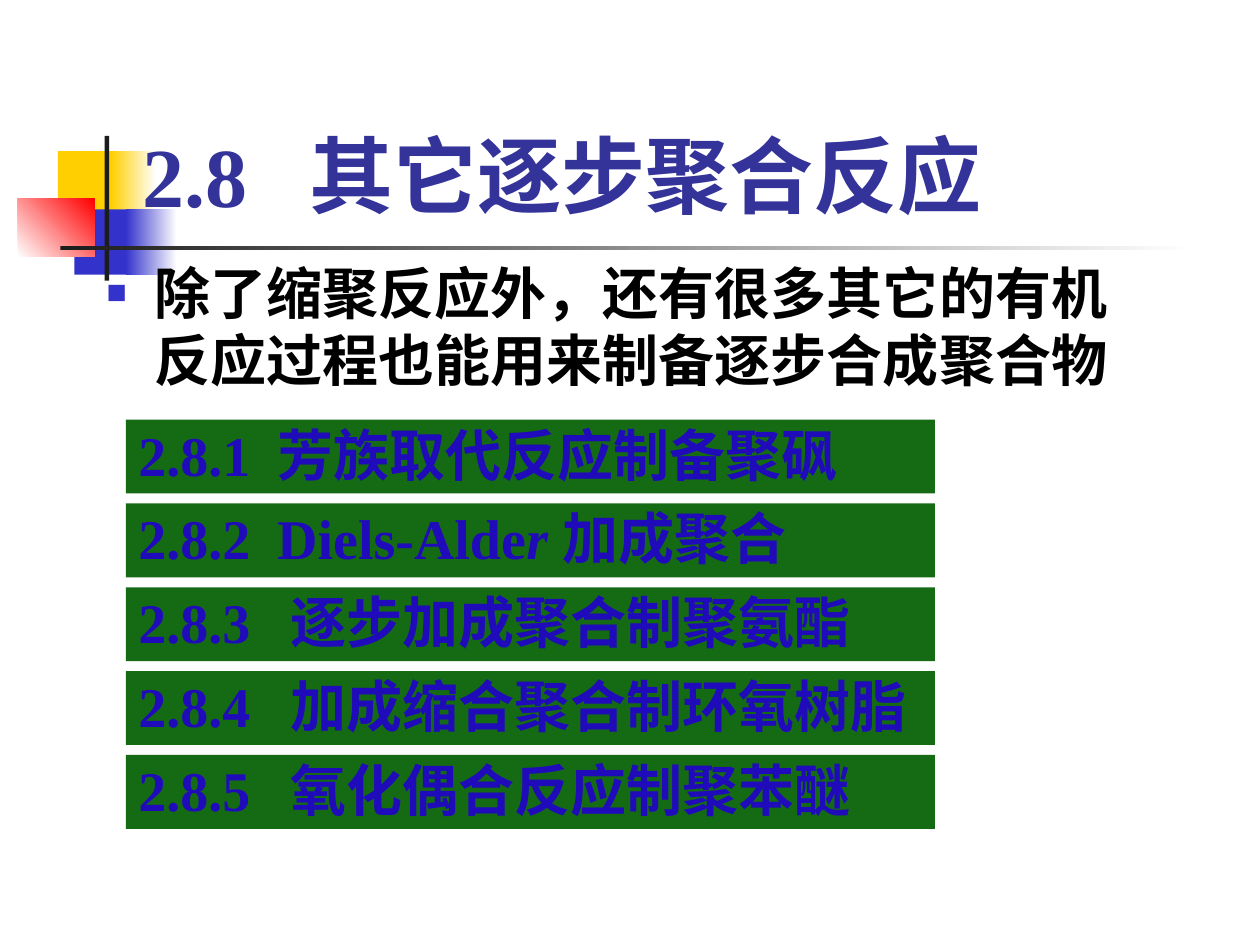
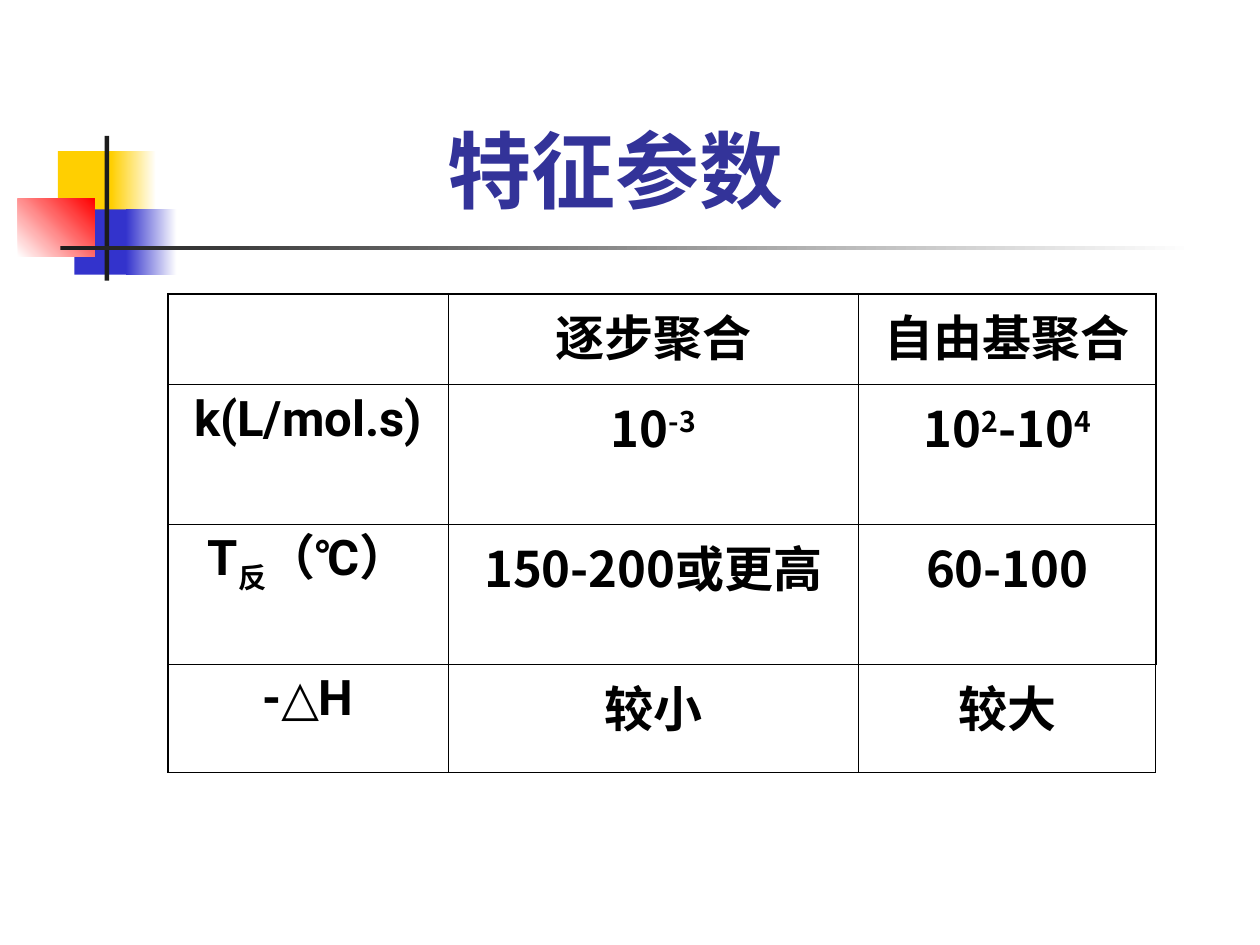
from dataclasses import dataclass

from lxml import etree
from pptx import Presentation
from pptx.dml.color import RGBColor
from pptx.enum.shapes import MSO_SHAPE
from pptx.enum.text import MSO_ANCHOR, MSO_AUTO_SIZE, PP_ALIGN
from pptx.oxml.ns import qn
from pptx.util import Cm, Pt

RECT = MSO_SHAPE.RECTANGLE
LEFT, CENTER = PP_ALIGN.LEFT, PP_ALIGN.CENTER
TOP, BOTTOM = MSO_ANCHOR.TOP, MSO_ANCHOR.BOTTOM
NO_FIT = MSO_AUTO_SIZE.NONE
TITLE_ONLY = 5


@dataclass(frozen=True)
class Theme:
    serif: str = "Times New Roman"
    sans: str = "Roboto"
    han: str = "Noto Sans CJK SC"
    title: str = "333399"
    ink: str = "000000"
    item: str = "200BBB"
    band: str = "156B13"
    yellow: str = "FFCF01"
    blue: str = "3333CC"
    red: str = "FF0000"
    dark: str = "1C1C1C"
    white: str = "FFFFFF"
    title_size: int = 48
    body_size: int = 32
    cell_size: int = 28
    thick: float = 1.08
    thin: float = 0.45


T = Theme()

# Text is a list of runs: (text, font[, "i" for italic or baseline in percent])
HEAD = [("2.8\t", T.serif), ("其它逐步聚合反应", T.sans)]
LEAD = [("除了缩聚反应外，还有很多其它的有机反应过程也能用来制备逐步合成聚合物", T.sans)]
# Tab stop in cm, then runs
ITEMS = [
    (2.8, [("2.8.1\t", T.serif), ("芳族取代反应制备聚砜", T.sans)]),
    (2.8, [("2.8.2\tDiels-Alde", T.serif), ("r ", T.serif, "i"),
           ("加成聚合", T.sans)]),
    (3.07, [("2.8.3\t", T.serif), ("逐步加成聚合制聚氨酯", T.sans)]),
    (3.07, [("2.8.4\t", T.serif), ("加成缩合聚合制环氧树脂", T.sans)]),
    (3.07, [("2.8.5\t", T.serif), ("氧化偶合反应制聚苯醚", T.sans)]),
]
PARAMS = [("特征参数", T.han)]
CELLS = [
    [[], [("逐步聚合", T.han)], [("自由基聚合", T.han)]],
    [[("k(L/mol.s)", T.sans)],
     [("10", T.han), ("-3", T.han, 30)],
     [("10", T.han), ("2", T.han, 30), ("-10", T.han), ("4", T.han, 30)]],
    [[("T", T.sans), ("反", T.sans, -25), ("（℃）", T.sans)],
     [("150-200或更高", T.han)], [("60-100", T.han)]],
    [[("-△H", T.sans)], [("较小", T.han)], [("较大", T.han)]],
]

# Boxes are left, top, width, height in cm
DECOR = [  # box, start colour, end colour, angle
    ((1.17, 3.05, 1.22, 1.32), T.yellow, None, 0),
    ((2.24, 3.05, 0.91, 1.32), T.yellow, T.white, 0),
    ((1.5, 4.22, 1.17, 1.32), T.blue, None, 0),
    ((2.54, 4.22, 1.02, 1.32), T.blue, T.white, 0),
    ((0.36, 4.01, 1.55, 1.17), T.white, T.red, 45),
    ((2.11, 2.74, 0.09, 2.92), T.dark, None, 0),
    ((1.22, 4.95, 22.86, 0.09), T.dark, T.white, 0),
]
HEAD_BOX = (2.62, 1.9, 21.59, 2.74)
HEAD_TAB = 3.36
PARAMS_BOX = (2.9, 1.93, 19.02, 2.62)
LEAD_BOX = (1.9, 5.08, 21.59, 3.38)
LEAD_HANG = 0.97
ITEM_BOX = (2.54, 8.46, 16.31, 1.49)
ITEM_STEP = 1.69
GRID_AT = (3.39, 5.92)
COLS = (5.64, 8.28, 5.99)
ROWS = (1.83, 2.82, 2.82, 2.18)


def cms(box):
    return [Cm(v) for v in box]


def rgb(code):
    return RGBColor.from_string(code)


def node(parent, tag, **attrs):
    child = etree.SubElement(parent, qn(tag))
    for key, value in attrs.items():
        child.set(key, str(value))
    return child


def write(frame, runs, size, color, align=LEFT, anchor=TOP, tab=None, hang=None):
    """Fill a text frame with one bold paragraph, tabbed or bulleted on request."""
    frame.word_wrap = True
    frame.vertical_anchor = anchor
    para = frame.paragraphs[0]
    para.alignment = align
    props = para._p.get_or_add_pPr()
    if hang:
        props.set("marL", str(Cm(hang)))
        props.set("indent", str(-Cm(hang)))
        node(node(props, "a:buClr"), "a:srgbClr", val=T.blue)
        node(props, "a:buSzPct", val=60000)
        node(props, "a:buFont", typeface=T.serif)
        node(props, "a:buChar", char="■")
    if tab:
        node(node(props, "a:tabLst"), "a:tab", pos=Cm(tab), algn="l")
    for text, face, *extra in runs:
        run = para.add_run()
        run.text = text
        font = run.font
        font.name, font.size, font.bold = face, Pt(size), True
        font.color.rgb = rgb(color)
        mark = run._r.get_or_add_rPr()
        node(mark, "a:ea", typeface=face)
        if extra == ["i"]:
            font.italic = True
        elif extra:
            mark.set("baseline", str(extra[0] * 1000))


def block(slide, box, color, end=None, angle=0):
    """Add a plain rectangle, with a gradient when an end colour is given."""
    shape = slide.shapes.add_shape(RECT, *cms(box))
    shape.shadow.inherit = False
    shape.line.fill.background()
    if end:
        shape.fill.gradient()
        shape.fill.gradient_angle = angle
        for stop, code in zip(shape.fill.gradient_stops, (color, end)):
            stop.color.rgb = rgb(code)
    else:
        shape.fill.solid()
        shape.fill.fore_color.rgb = rgb(color)
    return shape


def start(deck, runs, box, **form):
    """Add a slide with the shared ornament and its title in front."""
    slide = deck.slides.add_slide(deck.slide_layouts[TITLE_ONLY])
    for spot, color, end, angle in DECOR:
        block(slide, spot, color, end, angle)
    title = slide.shapes.title
    title.left, title.top, title.width, title.height = cms(box)
    title.text_frame.auto_size = NO_FIT
    write(title.text_frame, runs, T.title_size, T.title, anchor=BOTTOM, **form)
    title.element.getparent().append(title.element)
    return slide


def edge(cell, side, width):
    line = node(cell._tc.get_or_add_tcPr(), f"a:ln{side}", w=Pt(width))
    node(node(line, "a:solidFill"), "a:srgbClr", val=T.ink)


def outline(deck):
    slide = start(deck, HEAD, HEAD_BOX, tab=HEAD_TAB)
    lead = slide.shapes.add_textbox(*cms(LEAD_BOX))
    write(lead.text_frame, LEAD, T.body_size, T.ink, hang=LEAD_HANG)
    left, top, width, height = ITEM_BOX
    for i, (tab, runs) in enumerate(ITEMS):
        band = block(slide, (left, top + i * ITEM_STEP, width, height), T.band)
        write(band.text_frame, runs, T.body_size, T.item, anchor=BOTTOM, tab=tab)


def compare(deck):
    slide = start(deck, PARAMS, PARAMS_BOX, align=CENTER)
    size = (sum(COLS), sum(ROWS))
    grid = slide.shapes.add_table(len(ROWS), len(COLS), *cms(GRID_AT + size)).table
    grid.first_row = grid.horz_banding = False
    for col, width in zip(grid.columns, COLS):
        col.width = Cm(width)
    for row, height in zip(grid.rows, ROWS):
        row.height = Cm(height)
    last_row, last_col = len(ROWS) - 1, len(COLS) - 1
    for r, line in enumerate(CELLS):
        for c, runs in enumerate(line):
            cell = grid.cell(r, c)
            outer = {"L": c == 0, "R": c == last_col and r < last_row,
                     "T": r == 0, "B": r == last_row}
            for side, is_outer in outer.items():
                edge(cell, side, T.thick if is_outer else T.thin)
            cell.fill.background()
            write(cell.text_frame, runs, T.cell_size, T.ink, align=CENTER)


def main():
    deck = Presentation()
    deck.slide_width, deck.slide_height = Cm(25.4), Cm(19.05)
    outline(deck)
    compare(deck)
    deck.save("out.pptx")


if __name__ == "__main__":
    main()
